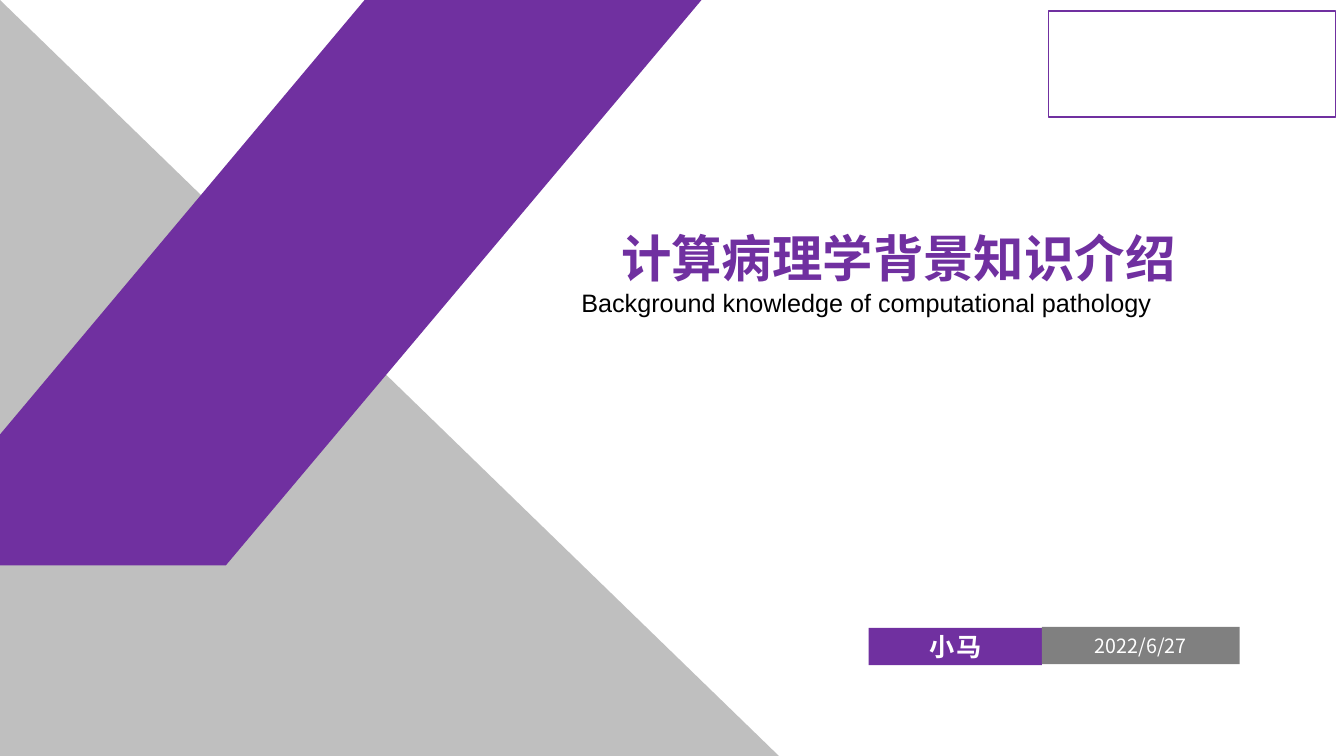
from dataclasses import dataclass
from typing import Optional

from lxml.etree import SubElement
from pptx import Presentation
from pptx.dml.color import RGBColor
from pptx.enum.shapes import MSO_SHAPE as Kind
from pptx.enum.text import MSO_ANCHOR as Anchor, PP_ALIGN as Align
from pptx.oxml.ns import qn
from pptx.util import Cm, Pt

PURPLE = RGBColor(0x70, 0x30, 0xA0)
SILVER = RGBColor(0xBF, 0xBF, 0xBF)
GRAY = RGBColor(0x80, 0x80, 0x80)
WHITE = RGBColor(0xFF, 0xFF, 0xFF)
BLACK = RGBColor(0x00, 0x00, 0x00)
SANS = "Noto Sans CJK SC"
LATIN = "Arial"


@dataclass
class Label:
    text: str
    size: int
    color: RGBColor
    face: str = SANS
    bold: bool = False
    align: Align = Align.CENTER
    anchor: Anchor = Anchor.MIDDLE
    track: int = 0


@dataclass
class Block:
    left: float
    top: float
    width: float
    height: float
    fill: Optional[RGBColor] = None
    line: Optional[RGBColor] = None
    kind: Kind = Kind.RECTANGLE
    label: Optional[Label] = None


BAND = [(9.19, 0), (17.68, 0), (5.69, 14.25), (-2.77, 14.25)]
WEDGE = Block(0, 0, 19.63, 19.05, SILVER, kind=Kind.RIGHT_TRIANGLE)
BLOCKS = [
    Block(21.89, 15.82, 4.37, 0.94, PURPLE,
          label=Label("小马", 18, WHITE, bold=True, track=150)),
    Block(26.26, 15.8, 4.98, 0.94, GRAY,
          label=Label("2022/6/27", 14, WHITE)),
    Block(13.13, 4.11, 19.02, 3.25,
          label=Label("计算病理学背景知识介绍", 36, PURPLE, LATIN, True,
                      anchor=Anchor.BOTTOM)),
    Block(14.4, 7.11, 18.34, 1.02,
          label=Label("Background knowledge of computational pathology", 18,
                      BLACK, LATIN, align=Align.LEFT, anchor=Anchor.TOP)),
    Block(26.42, 0.28, 7.24, 2.67, WHITE, PURPLE),
]


def paint(shape, fill: RGBColor, line: Optional[RGBColor] = None) -> None:
    shape.shadow.inherit = False
    shape.fill.solid()
    shape.fill.fore_color.rgb = fill
    if line is None:
        shape.line.fill.background()
    else:
        shape.line.color.rgb = line
        shape.line.width = Pt(1)


def write(shape, label: Label) -> None:
    frame = shape.text_frame
    frame.word_wrap = True
    frame.vertical_anchor = label.anchor
    para = frame.paragraphs[0]
    para.text = label.text
    para.alignment = label.align
    font = para.font
    font.size = Pt(label.size)
    font.bold = label.bold
    font.color.rgb = label.color
    font.name = label.face
    props = para._p.pPr.find(qn("a:defRPr"))
    SubElement(props, qn("a:ea")).set("typeface", SANS)
    if label.track:
        props.set("spc", str(label.track))


def draw(slide, block: Block) -> None:
    area = [Cm(n) for n in (block.left, block.top, block.width, block.height)]
    if block.fill is None:
        shape = slide.shapes.add_textbox(*area)
    else:
        shape = slide.shapes.add_shape(block.kind, *area)
        paint(shape, block.fill, block.line)
    if block.label:
        write(shape, block.label)


def main() -> None:
    deck = Presentation()
    deck.slide_width, deck.slide_height = Cm(33.87), Cm(19.05)
    slide = deck.slides.add_slide(deck.slide_layouts[6])
    draw(slide, WEDGE)
    first, *rest = [(Cm(x), Cm(y)) for x, y in BAND]
    form = slide.shapes.build_freeform(*first)
    form.add_line_segments(rest)
    paint(form.convert_to_shape(), PURPLE)
    for block in BLOCKS:
        draw(slide, block)
    deck.save("out.pptx")


if __name__ == "__main__":
    main()
